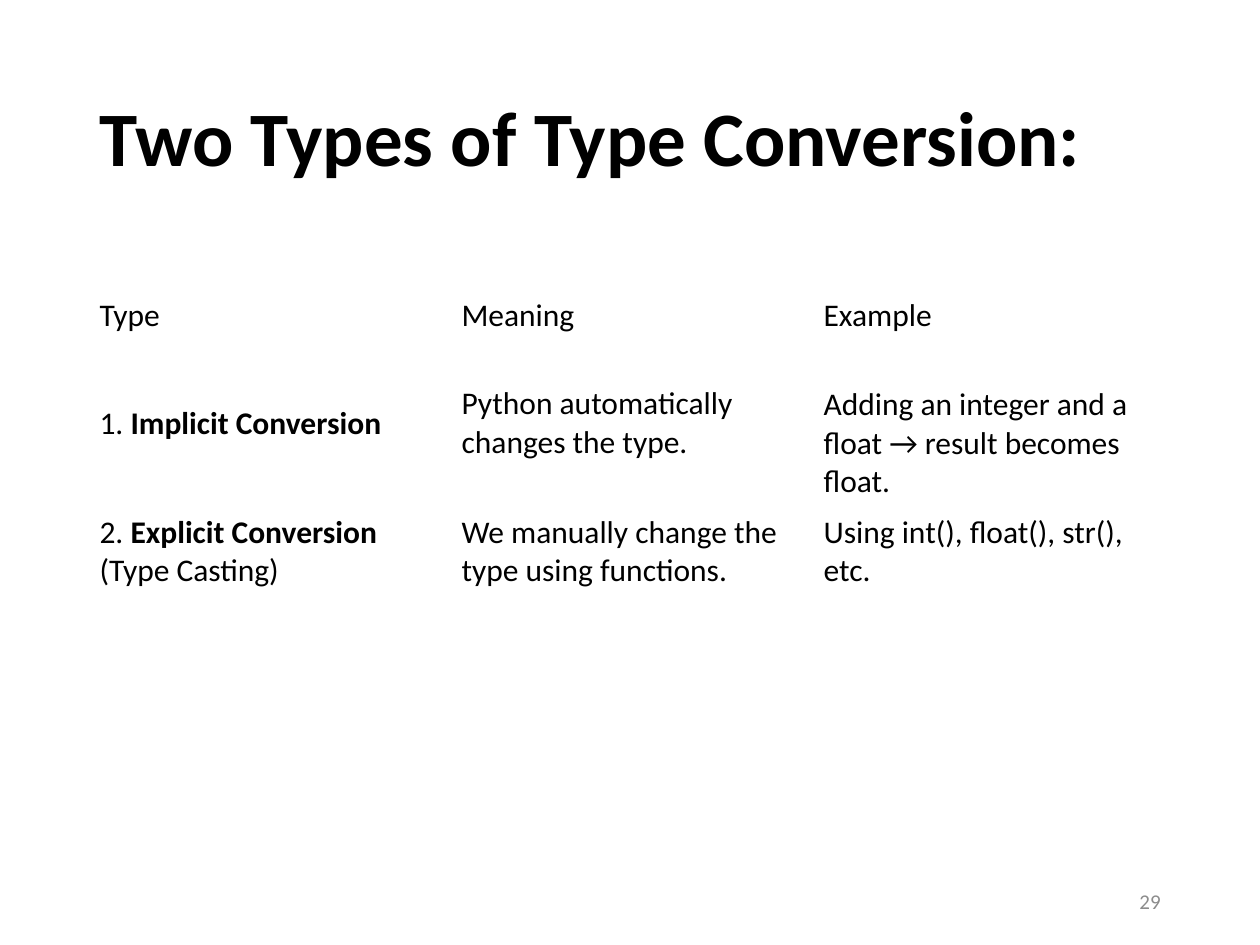
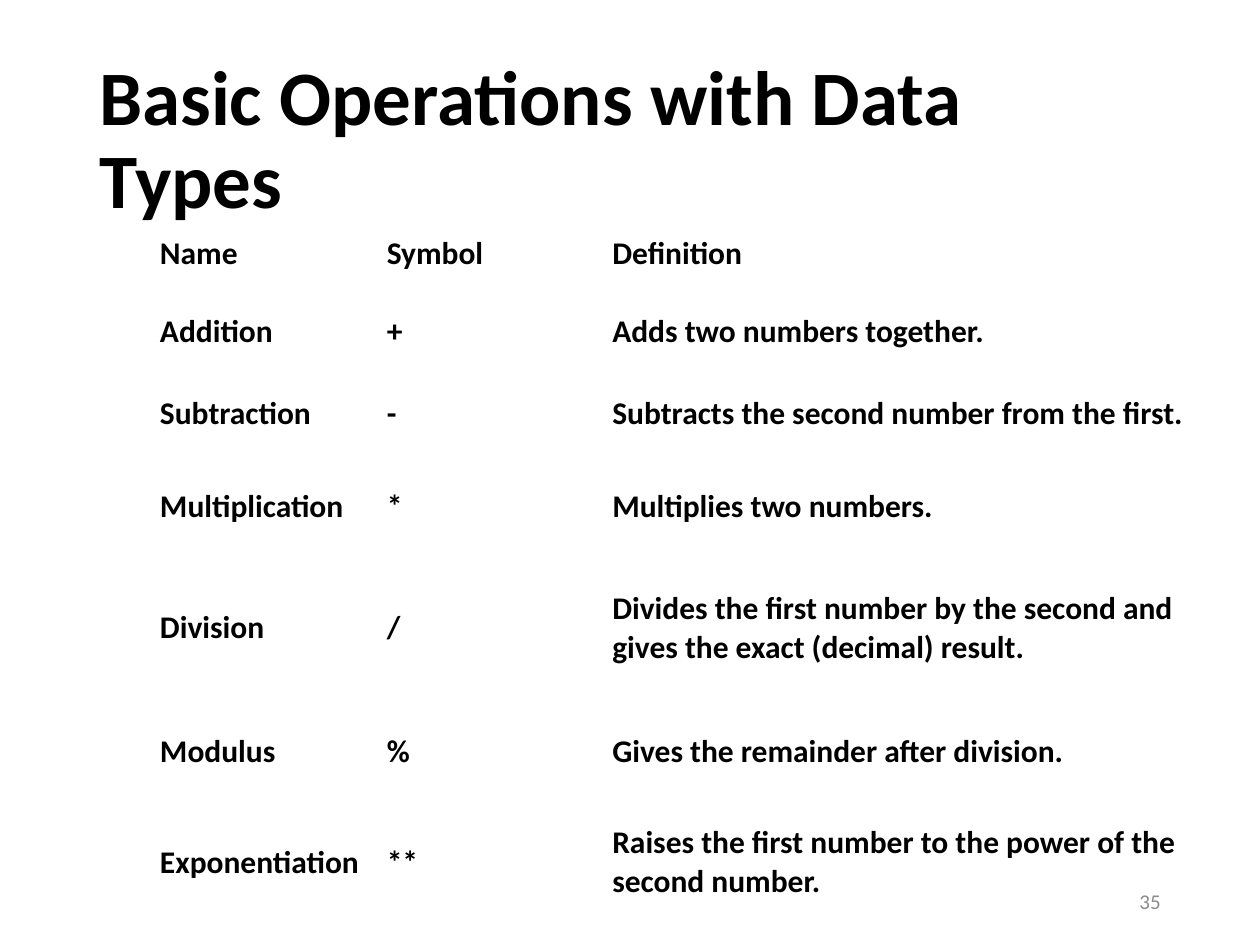
from lxml.etree import SubElement
from pptx import Presentation
from pptx.dml.color import RGBColor
from pptx.enum.text import MSO_ANCHOR, PP_ALIGN
from pptx.oxml.ns import qn
from pptx.util import Inches, Pt

WIDTH, HEIGHT = 10, 7.5
MARGIN = 0.69
CONTENT_WIDTH = WIDTH - 2 * MARGIN
FONT = "Calibri"
COLOURS = {"text": "000000", "number": "8C8C8C"}
LINE_HEIGHT = 0.31
BORDERS = ("a:lnL", "a:lnR", "a:lnT", "a:lnB")

STYLES = {
    "title": {"size": Pt(44), "bold": True, "colour": "text"},
    "number": {"size": Pt(12), "bold": False, "colour": "number"},
    "plain": {"size": Pt(18), "bold": False, "colour": "text"},
    "strong": {"size": Pt(18), "bold": True, "colour": "text"},
}

SLIDES = [
    {
        "title": "Two Types of Type Conversion:",
        "number": "29",
        "table": {
            "position": (MARGIN, 2.3),
            "columns": [CONTENT_WIDTH / 3] * 3,
            "rows": [0.4, 1.32, 0.72],
            "insets": (0.1, 0.05),
            "style": "plain",
            "lowered_cell": (1, 2),
            "cells": [
                ["Type", "Meaning", "Example"],
                [
                    [("1. ", "plain"), ("Implicit Conversion", "strong")],
                    "Python automatically changes the type.",
                    "Adding an integer and a float → result becomes float.",
                ],
                [
                    [("2. ", "plain"), ("Explicit Conversion", "strong"), (" (Type Casting)", "plain")],
                    "We manually change the type using functions.",
                    "Using int(), float(), str(), etc.",
                ],
            ],
        },
    },
    {
        "title": "Basic Operations with Data Types",
        "number": "35",
        "table": {
            "position": (0.2, 1.65),
            "columns": [1, 1.8, 1.79, 4.68],
            "rows": [0.72, 0.53, 0.76, 0.72, 1.21, 0.76, 0.99],
            "insets": (0.07, 0.04),
            "style": "strong",
            "lowered_cell": None,
            "cells": [
                ["", "Name", "Symbol", "Definition"],
                ["", "Addition", "+", "Adds two numbers together."],
                ["", "Subtraction", "-", "Subtracts the second number from the first."],
                ["", "Multiplication", "*", "Multiplies two numbers."],
                ["", "Division", "/", "Divides the first number by the second and gives the exact (decimal) result."],
                ["", "Modulus", "%", "Gives the remainder after division."],
                ["", "Exponentiation", "**", "Raises the first number to the power of the second number."],
            ],
        },
    },
]


def set_attributes(target, values):
    for name, value in values.items():
        setattr(target, name, value)


def add_run(paragraph, text, style_name):
    run = paragraph.add_run()
    run.text = text
    style = STYLES[style_name]
    set_attributes(run.font, {"name": FONT, "size": style["size"], "bold": style["bold"]})
    run.font.color.rgb = RGBColor.from_string(COLOURS[style["colour"]])


def add_text(slide, text, style_name, box, paragraph_format):
    frame = slide.shapes.add_textbox(*map(Inches, box)).text_frame
    set_attributes(frame, {"word_wrap": True, "vertical_anchor": MSO_ANCHOR.MIDDLE})
    paragraph = frame.paragraphs[0]
    set_attributes(paragraph, paragraph_format)
    add_run(paragraph, text, style_name)


def clear_cell(cell):
    properties = cell._tc.get_or_add_tcPr()
    for border in BORDERS:
        line = SubElement(properties, qn(border), w="0")
        SubElement(line, qn("a:noFill"))
    cell.fill.background()


def fill_cell(cell, content, style_name, insets, lowered):
    side, edge = map(Inches, insets)
    top = edge + Inches(LINE_HEIGHT) if lowered else edge
    set_attributes(cell, {
        "margin_left": side, "margin_right": side, "margin_top": top,
        "margin_bottom": edge, "vertical_anchor": MSO_ANCHOR.MIDDLE,
    })
    clear_cell(cell)
    runs = [(content, style_name)] if isinstance(content, str) else content
    for text, run_style in runs:
        if text:
            add_run(cell.text_frame.paragraphs[0], text, run_style)


def add_grid(slide, position, columns, rows, insets, style, lowered_cell, cells):
    size = (sum(columns), sum(rows))
    table = slide.shapes.add_table(len(rows), len(columns), *map(Inches, position + size)).table
    set_attributes(table, {"first_row": False, "horz_banding": False})
    for column, width in zip(table.columns, columns):
        column.width = Inches(width)
    for row, height in zip(table.rows, rows):
        row.height = Inches(height)
    for row_index, contents in enumerate(cells):
        for column_index, content in enumerate(contents):
            place = (row_index, column_index)
            fill_cell(table.cell(*place), content, style, insets, place == lowered_cell)


def main():
    """Build the slides on type conversion and basic operations."""
    presentation = Presentation()
    set_attributes(presentation, {"slide_width": Inches(WIDTH), "slide_height": Inches(HEIGHT)})
    title_box = (MARGIN, 0.4, CONTENT_WIDTH, 1.45)
    number_box = (WIDTH - MARGIN - 2.25, 6.95, 2.25, 0.4)
    for content in SLIDES:
        slide = presentation.slides.add_slide(presentation.slide_layouts[6])
        add_text(slide, content["title"], "title", title_box, {"line_spacing": 0.9})
        add_text(slide, content["number"], "number", number_box, {"alignment": PP_ALIGN.RIGHT})
        add_grid(slide, **content["table"])
    presentation.save("out.pptx")


if __name__ == "__main__":
    main()
